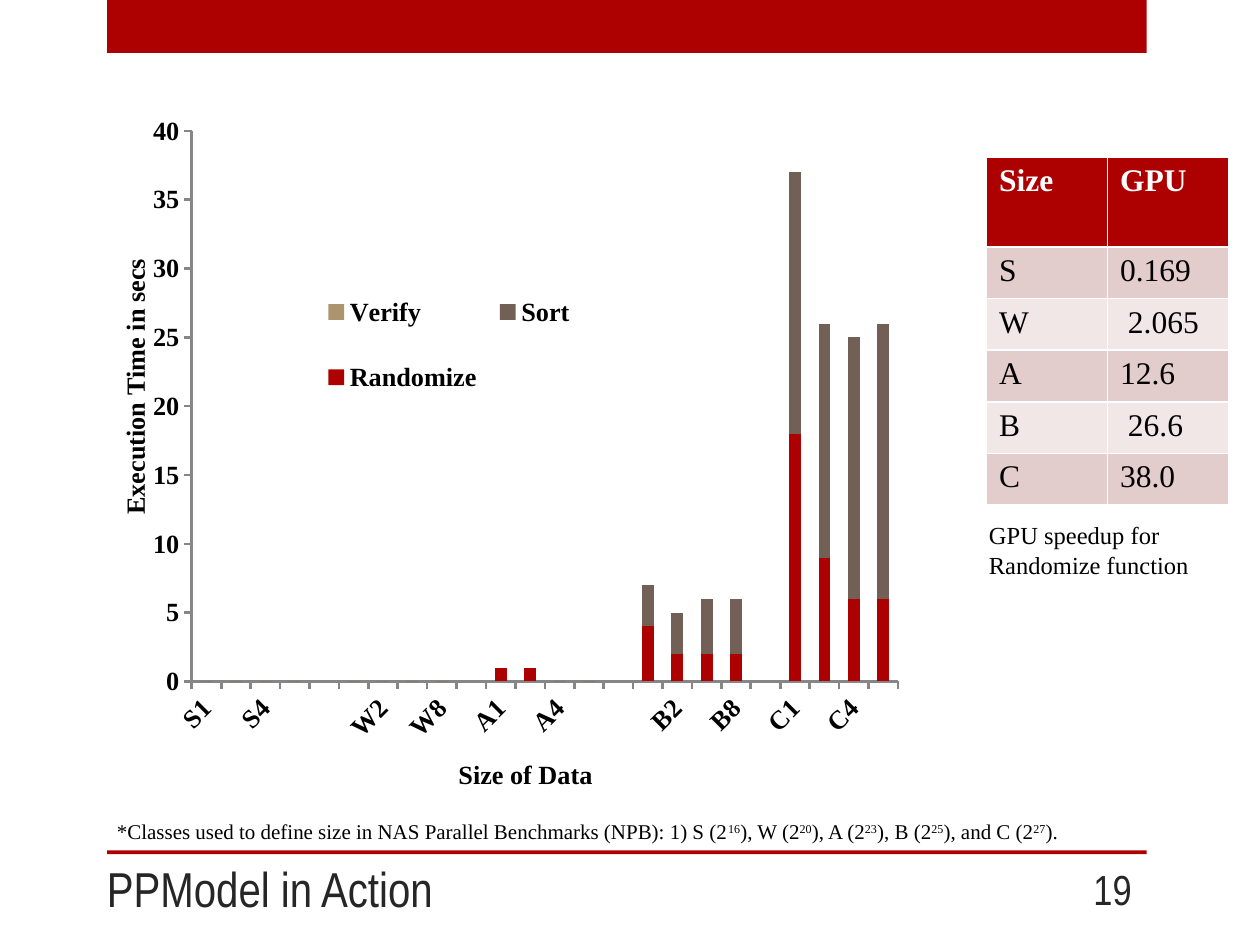
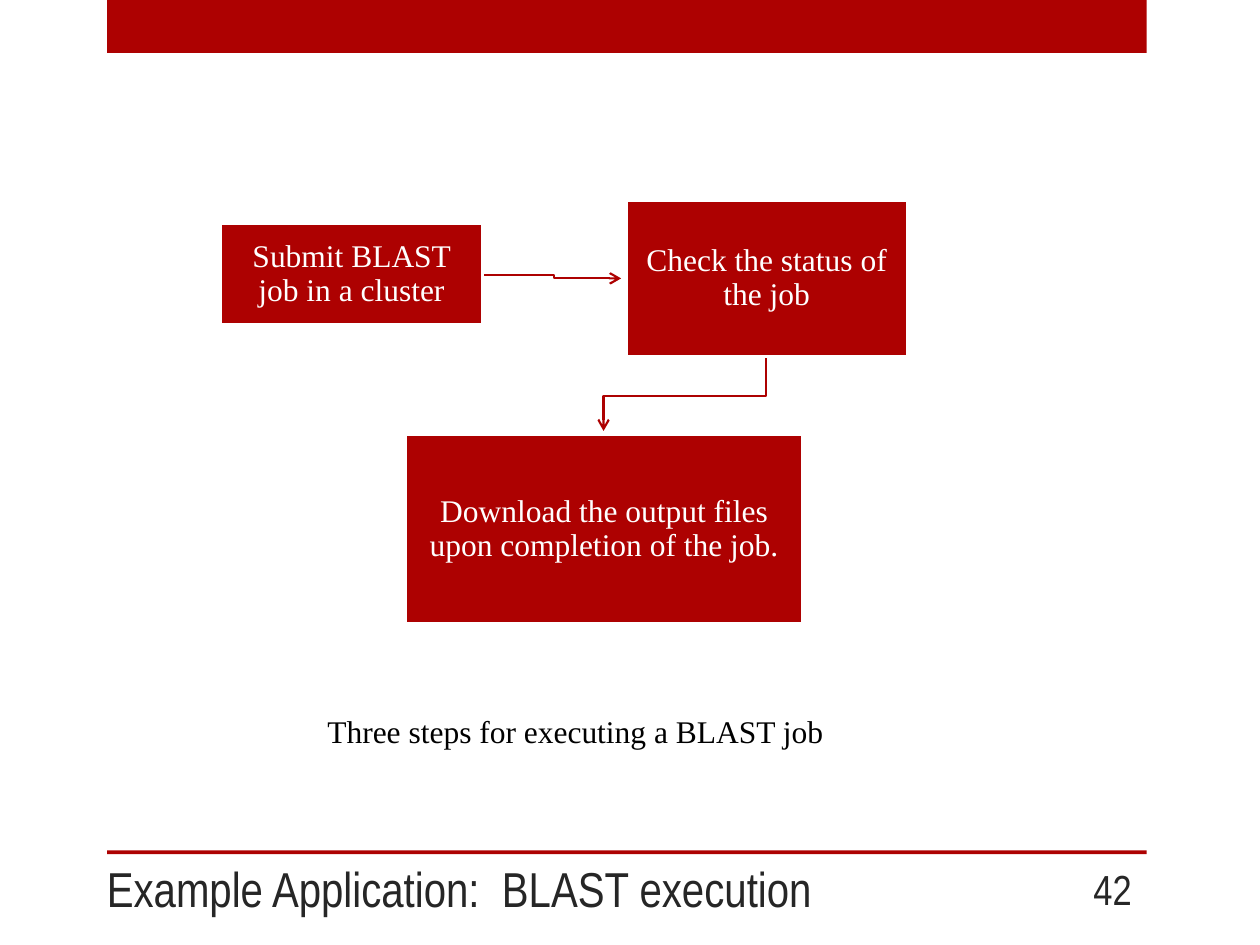
from dataclasses import dataclass

import lxml.etree
import pptx
import pptx.chart.data
import pptx.dml.color
import pptx.enum.chart
import pptx.enum.shapes
import pptx.enum.text
import pptx.oxml.ns
import pptx.util
from pptx.util import Inches

RED = "AD0101"
BROWN = "726056"
TAN = "AC956E"
INK = "262626"
BLACK = "000000"
WHITE = "FFFFFF"
AXIS_GREY = "868686"
BAND_COLOURS = ("F1E7E7", "E3CCCC")
SERIF = "Times New Roman"
NARROW = "Arial Narrow"
ALIGN = pptx.enum.text.PP_ALIGN
ANCHOR = pptx.enum.text.MSO_ANCHOR
RECTANGLE = pptx.enum.shapes.MSO_SHAPE.RECTANGLE


@dataclass
class Area:
    left: float
    top: float
    width: float
    height: float

    def lengths(self) -> tuple:
        return tuple(Inches(value) for value in (self.left, self.top, self.width, self.height))


@dataclass
class Label:
    text: str
    area: Area
    size: float = 18
    font: str = SERIF
    colour: str = BLACK
    align: ALIGN = ALIGN.LEFT
    anchor: ANCHOR = ANCHOR.TOP
    wrap: bool = True


@dataclass
class Step:
    text: str
    area: Area


@dataclass
class Series:
    name: str
    colour: str
    groups: list


BANDS = [Area(0.85, 0, 8.25, 0.42), Area(0.85, 6.75, 8.25, 0.03)]

SIZE_CLASSES = "SWABC"
THREADS = (1, 2, 4, 8)
TIMES = [
    Series("Randomize", RED, [(0, 0, 0, 0), (0, 0, 0, 0), (1, 1, 0, 0), (4, 2, 2, 2), (18, 9, 6, 6)]),
    Series("Sort", BROWN, [(0, 0, 0, 0), (0, 0, 0, 0), (0, 0, 0, 0), (3, 3, 4, 4), (19, 17, 19, 20)]),
    Series("Verify", TAN, [(0, 0, 0, 0)] * 5),
]
SPEEDUPS = [
    ("Size", "GPU"),
    ("S", "0.169"),
    ("W", " 2.065"),
    ("A", "12.6"),
    ("B", " 26.6"),
    ("C", "38.0"),
]
FOOTNOTE = [
    "*Classes used to define size in NAS Parallel Benchmarks (NPB): 1) S (2", "16",
    "), W (2", "20", "), A (2", "23", "), B (2", "25", "), and C (2", "27", ").",
]
STEPS = [
    Step("Submit BLAST job in a cluster", Area(1.75, 1.77, 2.08, 0.81)),
    Step("Check the status of the job", Area(4.97, 1.59, 2.23, 1.24)),
    Step("Download the output files upon completion of the job.", Area(3.22, 3.45, 3.15, 1.5)),
]
ARROWS = [
    [(3.83, 2.18), (4.4, 2.18), (4.4, 2.21), (4.93, 2.21)],
    [(6.08, 2.83), (6.08, 3.14), (4.79, 3.14), (4.79, 3.42)],
]


def rgb(value: str) -> pptx.dml.color.RGBColor:
    return pptx.dml.color.RGBColor.from_string(value)


def fill_solid(target, colour: str) -> None:
    target.fill.solid()
    target.fill.fore_color.rgb = rgb(colour)


def style_font(font, size: float, colour: str = BLACK, name: str = SERIF, bold: bool = False) -> None:
    font.name = name
    font.size = pptx.util.Pt(size)
    font.bold = bold
    font.color.rgb = rgb(colour)


def add_label(page, label: Label):
    box = page.shapes.add_textbox(*label.area.lengths())
    frame = box.text_frame
    frame.word_wrap = label.wrap
    frame.vertical_anchor = label.anchor
    frame.text = label.text
    para = frame.paragraphs[0]
    para.alignment = label.align
    style_font(para.runs[0].font, label.size, label.colour, label.font)
    return box


def add_rectangle(page, area: Area):
    box = page.shapes.add_shape(RECTANGLE, *area.lengths())
    box.shadow.inherit = False
    fill_solid(box, RED)
    box.line.fill.background()
    return box


def add_page(deck, title: str, number: str):
    page = deck.slides.add_slide(deck.slide_layouts[6])
    for band in BANDS:
        add_rectangle(page, band)
    add_label(page, Label(title, Area(0.75, 6.75, 7.42, 0.58), 28, NARROW, INK, anchor=ANCHOR.BOTTOM))
    add_label(page, Label(number, Area(8.25, 6.85, 0.83, 0.4), 24, NARROW, INK, ALIGN.RIGHT, ANCHOR.MIDDLE))
    return page


def set_layout(parent, index: int, area: Area, inner: bool = False) -> None:
    qn = pptx.oxml.ns.qn
    for old in parent.findall(qn("c:layout")):
        parent.remove(old)
    layout = lxml.etree.Element(qn("c:layout"))
    manual = lxml.etree.SubElement(layout, qn("c:manualLayout"))
    settings = [("layoutTarget", "inner")] if inner else []
    settings += [("xMode", "edge"), ("yMode", "edge")]
    settings += [("x", area.left), ("y", area.top), ("w", area.width), ("h", area.height)]
    for tag, value in settings:
        lxml.etree.SubElement(manual, qn(f"c:{tag}")).set("val", str(value))
    parent.insert(index, layout)


def with_gaps(groups: list, gap) -> list:
    joined = list(groups[0])
    for group in groups[1:]:
        joined += [gap, *group]
    return joined


def style_axis(axis, title: str) -> None:
    axis.has_major_gridlines = False
    axis.major_tick_mark = pptx.enum.chart.XL_TICK_MARK.OUTSIDE
    axis.format.line.color.rgb = rgb(AXIS_GREY)
    axis.format.line.width = pptx.util.Pt(1.5)
    style_font(axis.tick_labels.font, 15, bold=True)
    frame = axis.axis_title.text_frame
    frame.text = title
    style_font(frame.paragraphs[0].runs[0].font, 15, bold=True)


def add_time_chart(page) -> None:
    data = pptx.chart.data.CategoryChartData()
    names = [[f"{size}{count}" for count in THREADS] for size in SIZE_CLASSES]
    data.categories = with_gaps(names, "")
    for series in TIMES:
        data.add_series(series.name, with_gaps(series.groups, None))
    kind = pptx.enum.chart.XL_CHART_TYPE.COLUMN_STACKED
    chart = page.shapes.add_chart(kind, *Area(0.83, 0.58, 6.92, 5.75).lengths(), data).chart
    chart.has_title = False
    style_font(chart.font, 18)

    plot = chart.plots[0]
    plot.gap_width = 150
    plot.overlap = 100
    plot.vary_by_categories = False
    for drawn, series in zip(plot.series, TIMES):
        fill_solid(drawn.format, series.colour)

    style_axis(chart.category_axis, "Size of Data")
    style_axis(chart.value_axis, "Execution Time in secs")
    set_layout(chart.value_axis.axis_title._element, 1, Area(0.01, 0.25, 0.03, 0.36))
    chart.value_axis.minimum_scale = 0
    chart.value_axis.maximum_scale = 40
    chart.value_axis.major_unit = 5
    qn = pptx.oxml.ns.qn
    label_body = chart.category_axis._element.find(qn("c:txPr")).find(qn("a:bodyPr"))
    label_body.set("rot", "-2700000")

    chart.has_legend = True
    legend = chart.legend
    legend.position = pptx.enum.chart.XL_LEGEND_POSITION.RIGHT
    legend.include_in_layout = False
    style_font(legend.font, 15, bold=True)
    set_layout(legend._element, 1, Area(0.24, 0.26, 0.31, 0.23))
    plot_area = chart._chartSpace.chart.plotArea
    set_layout(plot_area, 0, Area(0.1, 0.08, 0.81, 0.76), inner=True)


def add_speedup_table(page) -> None:
    area = Area(7.83, 1.25, 1.92, 2.74)
    table = page.shapes.add_table(len(SPEEDUPS), 2, *area.lengths()).table
    for column in table.columns:
        column.width = Inches(area.width / 2)
    for index, values in enumerate(SPEEDUPS):
        header = index == 0
        table.rows[index].height = Inches(0.71 if header else 0.41)
        for cell, value in zip(table.rows[index].cells, values):
            fill_solid(cell, RED if header else BAND_COLOURS[index % 2])
            cell.text = value
            span = cell.text_frame.paragraphs[0].runs[0]
            style_font(span.font, 18, WHITE if header else BLACK, bold=header)


def add_footnote(page) -> None:
    box = add_label(page, Label(FOOTNOTE[0], Area(0.83, 6.45, 8.1, 0.3), 12, wrap=False))
    para = box.text_frame.paragraphs[0]
    for index, text in enumerate(FOOTNOTE[1:]):
        span = para.add_run()
        span.text = text
        style_font(span.font, 12)
        if index % 2 == 0:
            span._r.get_or_add_rPr().set("baseline", "30000")


def add_step(page, step: Step) -> None:
    box = add_rectangle(page, step.area)
    box.line.color.rgb = rgb(WHITE)
    box.line.width = pptx.util.Pt(1.75)
    frame = box.text_frame
    frame.word_wrap = True
    frame.vertical_anchor = ANCHOR.MIDDLE
    frame.margin_left = frame.margin_right = Inches(0.14)
    frame.margin_top = frame.margin_bottom = Inches(0.14)
    frame.text = step.text
    para = frame.paragraphs[0]
    para.alignment = ALIGN.CENTER
    para.line_spacing = 0.9
    style_font(para.runs[0].font, 18, WHITE)


def add_arrow(page, points: list) -> None:
    corners = [(Inches(x), Inches(y)) for x, y in points]
    builder = page.shapes.build_freeform(*corners[0])
    builder.add_line_segments(corners[1:], close=False)
    arrow = builder.convert_to_shape()
    arrow.shadow.inherit = False
    arrow.fill.background()
    arrow.line.color.rgb = rgb(RED)
    arrow.line.width = pptx.util.Pt(1.25)
    outline = arrow.line._get_or_add_ln()
    lxml.etree.SubElement(outline, pptx.oxml.ns.qn("a:tailEnd")).set("type", "arrow")


def build_results_page(deck) -> None:
    page = add_page(deck, "PPModel in Action", "19")
    add_speedup_table(page)
    add_label(page, Label("GPU speedup for Randomize function", Area(7.75, 4.08, 2.42, 0.57), 14))
    add_footnote(page)
    add_time_chart(page)


def build_steps_page(deck) -> None:
    page = add_page(deck, "Example Application:  BLAST execution", "42")
    for points in ARROWS:
        add_arrow(page, points)
    for step in STEPS:
        add_step(page, step)
    add_label(page, Label("Three steps for executing a BLAST job", Area(2.5, 5.6, 4.42, 0.4)))


def main() -> None:
    deck = pptx.Presentation()
    deck.slide_width = Inches(10)
    deck.slide_height = Inches(7.5)
    build_results_page(deck)
    build_steps_page(deck)
    deck.save("out.pptx")


if __name__ == "__main__":
    main()
